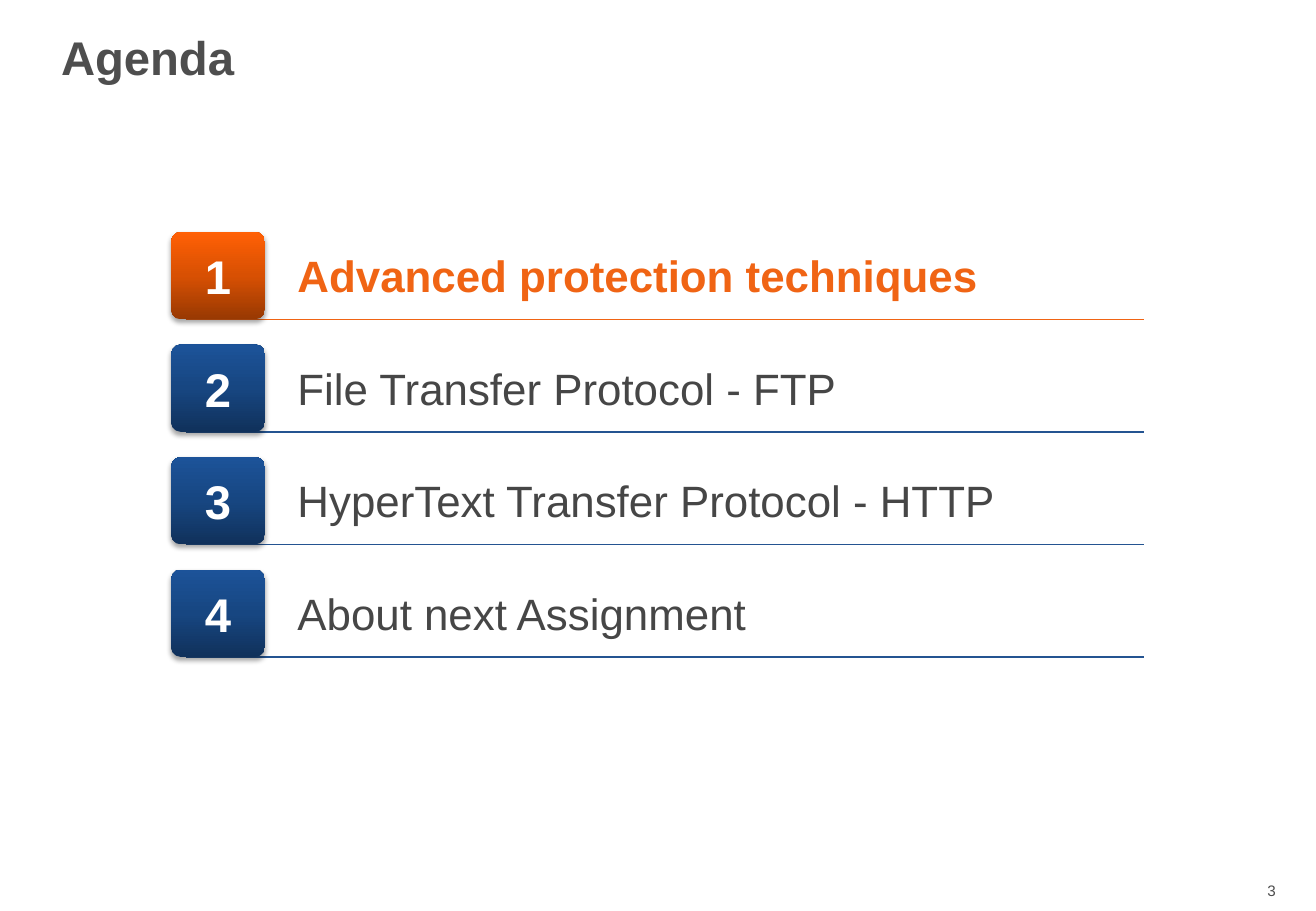
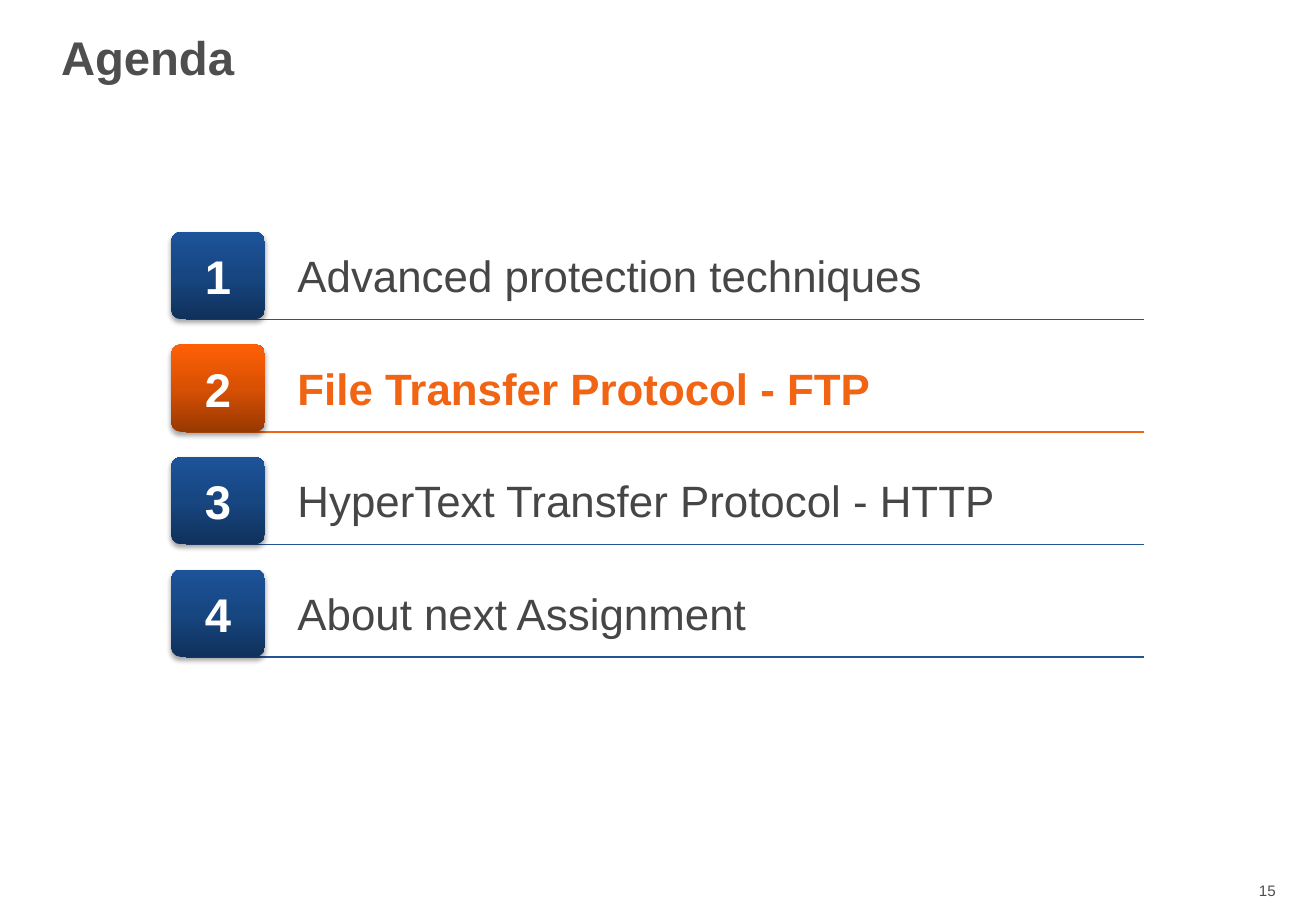
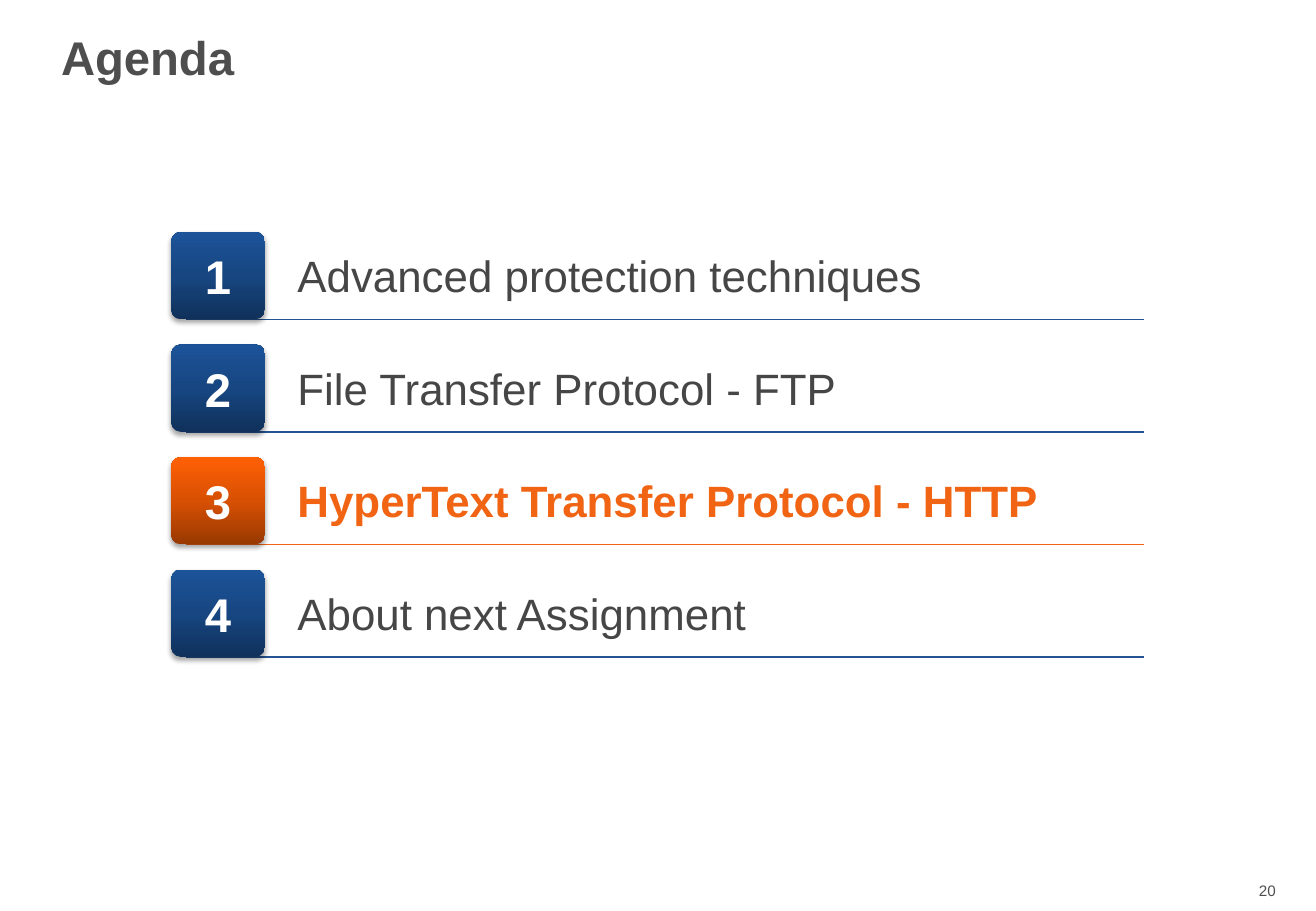
from copy import deepcopy

from lxml import etree
from pptx import Presentation
from pptx.dml.color import RGBColor
from pptx.enum.shapes import MSO_CONNECTOR, MSO_SHAPE
from pptx.enum.text import MSO_ANCHOR, MSO_AUTO_SIZE, PP_ALIGN
from pptx.oxml.ns import qn
from pptx.util import Pt

STRAIGHT = MSO_CONNECTOR.STRAIGHT
ROUNDED = MSO_SHAPE.ROUNDED_RECTANGLE
MIDDLE = MSO_ANCHOR.MIDDLE
NO_FIT = MSO_AUTO_SIZE.NONE
LEFT, CENTER, RIGHT = PP_ALIGN.LEFT, PP_ALIGN.CENTER, PP_ALIGN.RIGHT

# Shared look
FONT = "Arial"
GREY, DARK_GREY, WHITE = "4E4E4E", "464646", "FFFFFF"
BLUE_LINE, ORANGE = "245491", "F06414"
BLUE_STOPS = ("10315B", "174681", "1C5399")
ORANGE_STOPS = ("983902", "D85003", "FF6005")

# Agenda content: page number and highlighted topic of each slide
TOPICS = (
    "Advanced protection techniques",
    "File Transfer Protocol - FTP",
    "HyperText Transfer Protocol - HTTP",
    "About next Assignment",
)
PAGES = ((3, 1), (15, 2), (20, 3))

# Row grid, in points
FIRST_TOP, ROW_PITCH, BADGE_HEIGHT = 137.5, 66.7, 51.8


def colour(value):
    return RGBColor.from_string(value)


def write(shape, text, size, hue, bold=False, align=LEFT):
    """Write one line of text and return its paragraph."""
    shape.text_frame.word_wrap = True
    para = shape.text_frame.paragraphs[0]
    para.alignment = align
    span = para.add_run()
    span.text = text
    span.font.name = FONT
    span.font.size = Pt(size)
    span.font.bold = bold
    span.font.color.rgb = colour(hue)
    return para


deck = Presentation()
deck.slide_width, deck.slide_height = Pt(780), Pt(540)
layout = deck.slide_layouts.get_by_name("Title Only")

# Title position, inherited by every slide
layout_title = layout.placeholders[0]
layout_title.left, layout_title.top = Pt(29), Pt(0)
layout_title.width, layout_title.height = Pt(585), Pt(72)

for page_number, current in PAGES:
    page = deck.slides.add_slide(layout)

    # Title
    title = page.shapes.title
    title.text_frame.auto_size = NO_FIT
    title.text_frame.vertical_anchor = MIDDLE
    write(title, "Agenda", 28, GREY, bold=True).line_spacing = 0.85

    # Page number
    number_box = page.shapes.add_textbox(Pt(711.4), Pt(519), Pt(51.8), Pt(18))
    write(number_box, str(page_number), 9, GREY, align=RIGHT)

    # Agenda rows
    for number, topic in enumerate(TOPICS, start=1):
        active = number == current
        top = FIRST_TOP + (number - 1) * ROW_PITCH
        bottom = top + BADGE_HEIGHT
        row = page.shapes.add_group_shape()

        # Rule under the row
        rule = row.shapes.add_connector(
            STRAIGHT, Pt(110.2), Pt(bottom), Pt(678.2), Pt(bottom))
        rule.line.width = Pt(1)
        rule.line.color.rgb = colour(ORANGE if active else BLUE_LINE)
        etree.SubElement(rule._element.spPr, qn("a:effectLst"))

        # Number badge with a three-stop gradient
        badge = row.shapes.add_shape(
            ROUNDED, Pt(101.5), Pt(top), Pt(55.5), Pt(BADGE_HEIGHT))
        badge.adjustments[0] = 0.11
        badge.line.fill.background()
        badge.fill.gradient()
        badge.fill.gradient_angle = 90
        properties = badge._element.spPr
        stop_list = properties.find(".//" + qn("a:gsLst"))
        stop_list.append(deepcopy(stop_list[0]))
        hues = ORANGE_STOPS if active else BLUE_STOPS
        for stop, position, hue in zip(badge.fill.gradient_stops, (0, 0.5, 1), hues):
            stop.position = position
            stop.color.rgb = colour(hue)

        # Soft shadow below the badge
        badge.shadow.inherit = False
        shadow = etree.SubElement(
            properties.find(qn("a:effectLst")), qn("a:outerShdw"),
            blurRad=str(Pt(3.1)), dist=str(Pt(1.8)), dir="5400000", rotWithShape="0")
        shade = etree.SubElement(shadow, qn("a:srgbClr"), val="000000")
        etree.SubElement(shade, qn("a:alpha"), val="35000")

        # Number
        frame = badge.text_frame
        frame.margin_left = frame.margin_right = Pt(14.4)
        frame.margin_top = frame.margin_bottom = Pt(7.2)
        frame.vertical_anchor = MIDDLE
        write(badge, str(number), 28, WHITE, bold=True, align=CENTER)

        # Topic
        topic_box = row.shapes.add_textbox(
            Pt(169.2), Pt(top + 6.5), Pt(514), Pt(38.9))
        para = write(topic_box, topic, 26, ORANGE if active else DARK_GREY, bold=active)
        para.space_before = Pt(1.8)

deck.save("out.pptx")
